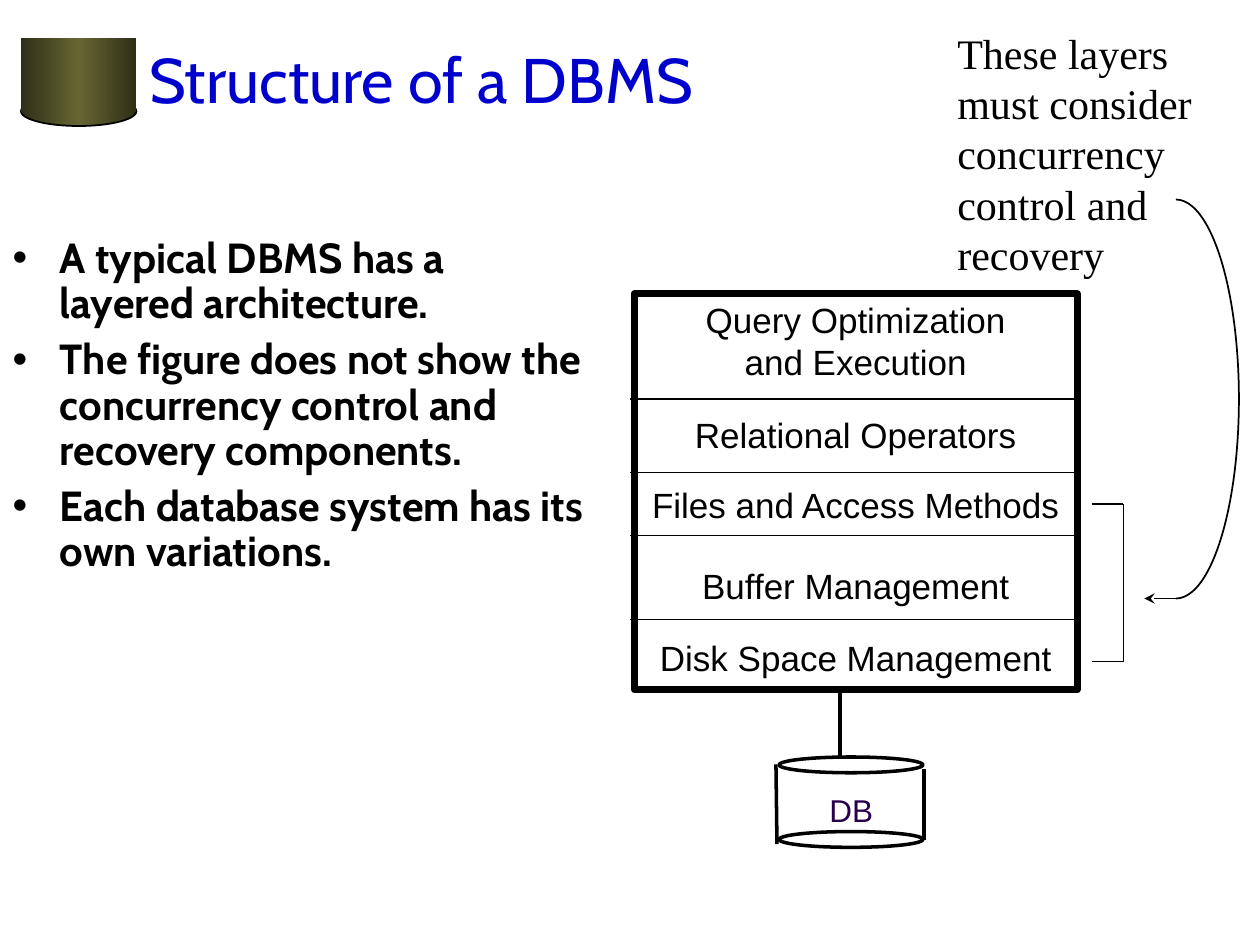
"""Build the slide on the structure of a DBMS, on a grid of 120 columns by 90 rows."""
import copy
from typing import NamedTuple, Optional

import pptx
import pptx.dml.color
import pptx.enum.shapes
import pptx.enum.text
import pptx.oxml.ns
import pptx.oxml.xmlchemy
import pptx.util
from lxml import etree

COLS, ROWS = 120, 90
WIDTH, HEIGHT = pptx.util.Inches(10), pptx.util.Inches(7.5)
BLACK = "000000"
SHAPE = pptx.enum.shapes.MSO_SHAPE
ALIGN = pptx.enum.text.PP_ALIGN
FIT = pptx.enum.text.MSO_AUTO_SIZE
STACK_CENTER = 81.5


class Box(NamedTuple):
    x: float
    y: float
    w: float
    h: float


class Layer(NamedTuple):
    lines: list[str]
    y: float
    w: float
    h: float = 5.2


class Line(NamedTuple):
    x1: float
    y1: float
    x2: float
    y2: float
    weight: float = 1
    tail: Optional[str] = None


LAYERS = [
    Layer(["Query Optimization", "and Execution"], 27.8, 31, 9.2),
    Layer(["Relational Operators"], 38.8, 33.1),
    Layer(["Files and Access Methods"], 45.5, 41.4),
    Layer(["Buffer Management"], 53.2, 31.8),
    Layer(["Disk Space Management"], 60, 39.7),
]
DIVIDERS = [Line(60, y, 103, y) for y in (38, 45, 51, 59)]
CYLINDER_SIDES = [Line(73.9, 72.8, 74, 80.4, 2), Line(88, 73.2, 88, 80, 2)]
STEM = Line(80, 66, 80, 72, 2)
BRACKET = [Line(104, 48, 107, 48), Line(107, 48, 107, 63), Line(104, 63, 107, 63)]
ARROW = Line(112, 57, 109, 57, tail="stealth")
BULLETS = [
    "A typical DBMS has a layered architecture.",
    "The figure does not show the concurrency control and recovery components.",
    "Each database system has its own variations.",
]
NOTE = ["These layers", "must consider", "concurrency", "control and", "recovery"]


def col(n: float) -> int:
    """Return the length of n columns."""
    return round(WIDTH * n / COLS)


def row(n: float) -> int:
    """Return the length of n rows."""
    return round(HEIGHT * n / ROWS)


def rgb(color: str) -> pptx.dml.color.RGBColor:
    """Return a colour from its hex string."""
    return pptx.dml.color.RGBColor.from_string(color)


def sub(parent, tag: str, **attrs: str):
    """Append a DrawingML child element."""
    return etree.SubElement(parent, pptx.oxml.ns.qn(tag), attrs)


def place(sp, box: Box) -> None:
    """Move and size a shape on the grid."""
    frame = {"left": col(box.x), "top": row(box.y), "width": col(box.w), "height": row(box.h)}
    for name, value in frame.items():
        setattr(sp, name, value)


def write(tf, lines: list[str], font: str, size: float, color: str = BLACK,
          bold: bool = False, **para) -> None:
    """Fill a text frame with one formatted paragraph per line."""
    fmt = {"name": font, "size": pptx.util.Pt(size), "bold": bold}
    for i, text in enumerate(lines):
        p = tf.paragraphs[0] if i == 0 else tf.add_paragraph()
        for name, value in para.items():
            setattr(p, name, value)
        r = p.add_run()
        r.text = text
        for name, value in fmt.items():
            setattr(r.font, name, value)
        r.font.color.rgb = rgb(color)


def add_label(slide, box: Box, lines: list[str], font: str, size: float,
              color: str = BLACK, align=ALIGN.LEFT) -> None:
    """Add an unwrapped text box."""
    sp = slide.shapes.add_textbox(col(box.x), row(box.y), col(box.w), row(box.h))
    sp.text_frame.word_wrap = False
    write(sp.text_frame, lines, font, size, color, alignment=align)


def add_outline(slide, kind, box: Box, weight: Optional[float]):
    """Add an unfilled preset shape, with a black line if a weight is given."""
    sp = slide.shapes.add_shape(kind, col(box.x), row(box.y), col(box.w), row(box.h))
    sp.shadow.inherit = False
    sp.fill.background()
    if weight is None:
        sp.line.fill.background()
    else:
        sp.line.color.rgb = rgb(BLACK)
        sp.line.width = pptx.util.Pt(weight)
    return sp


def add_line(slide, line: Line) -> None:
    """Add a straight black line, with an arrowhead if it names one."""
    cx = slide.shapes.add_connector(
        pptx.enum.shapes.MSO_CONNECTOR.STRAIGHT,
        col(line.x1), row(line.y1), col(line.x2), row(line.y2))
    cx.line.color.rgb = rgb(BLACK)
    cx.line.width = pptx.util.Pt(line.weight)
    if line.tail:
        sub(cx.line._get_or_add_ln(), "a:tailEnd", type=line.tail)
    sub(cx._element.spPr, "a:effectLst")


def shade(sp) -> None:
    """Give a shape the olive gradient, dark at both sides."""
    sp.fill.gradient()
    sp.fill.gradient_angle = 0
    gs_list = sp._element.spPr.find(".//" + pptx.oxml.ns.qn("a:gsLst"))
    gs_list.append(copy.deepcopy(gs_list[0]))
    stops = zip(sp.fill.gradient_stops, (0, 0.5, 1), ("2F2F18", "666633", "2F2F18"))
    for stop, position, color in stops:
        stop.position = position
        stop.color.rgb = rgb(color)


def fill_placeholders(slide) -> None:
    """Place and write the title and the bulleted list."""
    title, body = slide.placeholders
    for sp, box in ((title, Box(13, 0, 102, 15)), (body, Box(0, 22, 57, 54))):
        place(sp, box)
        sp.text_frame.word_wrap = True
        sp.text_frame.auto_size = FIT.NONE
    title.text_frame.vertical_anchor = pptx.enum.text.MSO_ANCHOR.MIDDLE
    write(title.text_frame, ["Structure of a DBMS"], "Cabin", 36, "0000CC",
          alignment=ALIGN.LEFT)
    write(body.text_frame, BULLETS, "Cabin", 24, bold=True,
          line_spacing=0.9, space_before=pptx.util.Pt(6))
    for p in body.text_frame.paragraphs:
        ppr = p._p.get_or_add_pPr()
        ppr.set("marL", str(col(4.5)))
        ppr.set("indent", str(-col(4.5)))
        sub(sub(ppr, "a:buClr"), "a:srgbClr", val=BLACK)
        sub(ppr, "a:buChar", char="•")


def main() -> None:
    """Build the slide and save it."""
    prs = pptx.Presentation()
    prs.slide_width, prs.slide_height = WIDTH, HEIGHT
    slide = prs.slides.add_slide(prs.slide_layouts[1])
    shade(add_outline(slide, SHAPE.OVAL, Box(2, 9.2, 11, 2.8), 1))
    shade(add_outline(slide, SHAPE.RECTANGLE, Box(2, 3.6, 11, 7.1), None))
    fill_placeholders(slide)
    for layer in LAYERS:
        box = Box(STACK_CENTER - layer.w / 2, layer.y, layer.w, layer.h)
        add_label(slide, box, layer.lines, "Arial", 20, align=ALIGN.CENTER)
    add_outline(slide, SHAPE.RECTANGLE, Box(60.4, 28, 42.2, 37.7), 4)
    for y in (72.1, 79.2):
        add_outline(slide, SHAPE.OVAL, Box(74.2, y, 13.7, 1.5), 2)
    add_label(slide, Box(77.8, 74.7, 6.6, 4.8), ["DB"], "Arial", 18, "280049")
    for line in [*DIVIDERS, *CYLINDER_SIDES, STEM, *BRACKET, ARROW]:
        add_line(slide, line)
    add_label(slide, Box(90, 2, 24.7, 25.2), NOTE, "Times New Roman", 24)
    arc = add_outline(slide, SHAPE.ARC, Box(106, 19, 12, 38), 1)
    arc.adjustments[0], arc.adjustments[1] = 162, 54
    prs.save("out.pptx")


if __name__ == "__main__":
    main()
